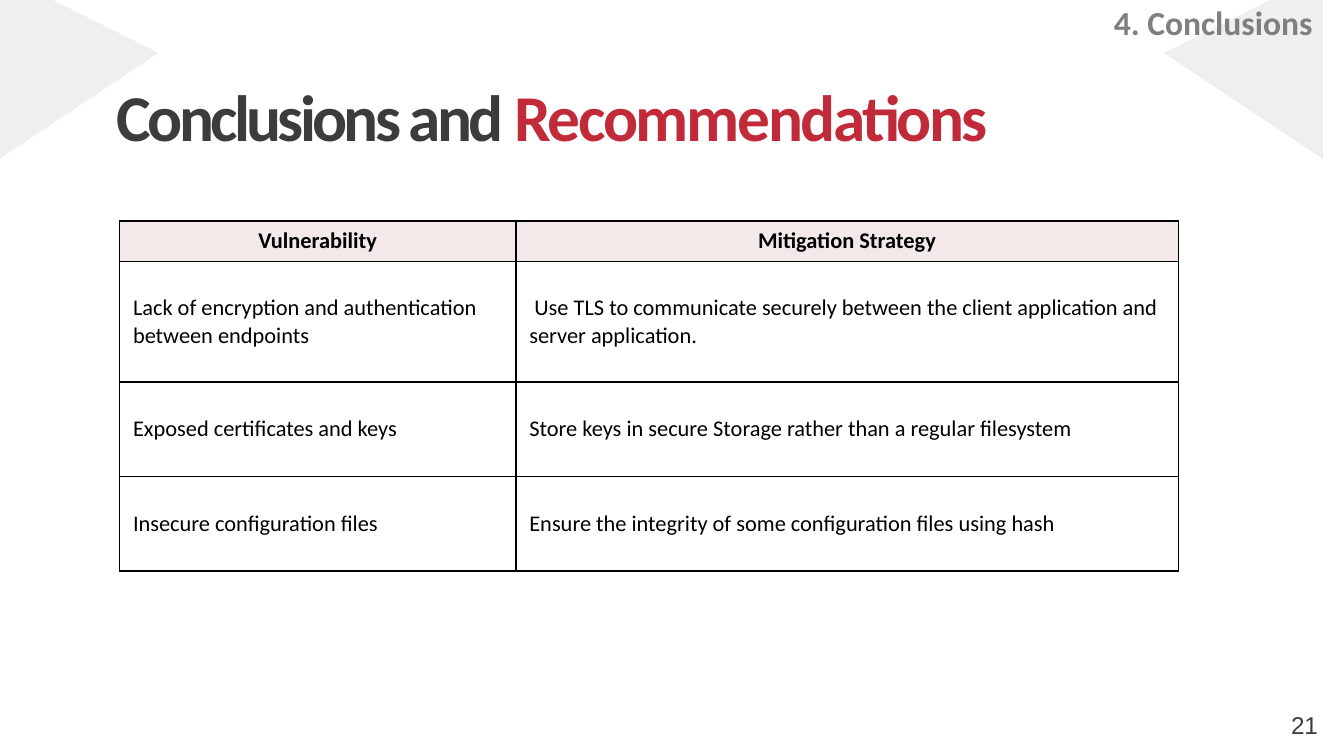
from lxml import etree
from pptx import Presentation
from pptx.dml.color import RGBColor
from pptx.enum.text import MSO_ANCHOR as Anchor, MSO_AUTO_SIZE as AutoSize, PP_ALIGN as Align
from pptx.oxml.ns import qn
from pptx.util import Cm, Pt

COLORS = {"dark": "3C3C3B", "red": "C12B39", "gray": "7F7F7F", "wedge": "878787",
          "black": "000000", "header": "F4E9E9", "white": "FFFFFF"}
PAGE_WIDTH, PAGE_HEIGHT = 25.4, 14.28
WEDGE = [(0, 0), (0.97, 0), (3.35, 1.42), (0, 3.34)]
TITLE = [("Conclusions and ", "dark", -200), ("Recommendations", "red", -130)]
SECTION = "4. Conclusions"
PAGE_NUMBER = "21"
COLUMN_WIDTHS = [7.49, 12.52]
ROW_HEIGHTS = [0.77, 2.28, 1.78, 1.78]
ROWS = [
    ("Vulnerability", "Mitigation Strategy"),
    ("Lack of encryption and authentication between endpoints",
     " Use TLS to communicate securely between the client application and server application."),
    ("Exposed certificates and keys",
     "Store keys in secure Storage rather than a regular filesystem"),
    ("Insecure configuration files",
     "Ensure the integrity of some configuration files using hash"),
]


def rgb(name):
    return RGBColor.from_string(COLORS[name])


def add_span(para, text, size, color, bold=False, font="Calibri"):
    span = para.add_run()
    span.text = text
    span.font.name, span.font.size, span.font.bold = font, Pt(size), bold
    span.font.color.rgb = rgb(color)
    return span


def prepare_frame(box, left, top, width, height, align=Align.LEFT):
    box.left, box.top, box.width, box.height = map(Cm, (left, top, width, height))
    frame = box.text_frame
    frame.margin_left = frame.margin_right = frame.margin_bottom = 0
    frame.margin_top = Cm(0.03)
    frame.word_wrap, frame.auto_size = True, AutoSize.NONE
    frame.vertical_anchor = Anchor.TOP
    para = frame.paragraphs[0]
    para.alignment = align
    return para


def add_wedge(page, points):
    builder = page.shapes.build_freeform(*points[0], scale=Cm(1))
    builder.add_line_segments(points[1:], close=True)
    wedge = builder.convert_to_shape()
    wedge.shadow.inherit = False
    wedge.fill.solid()
    wedge.fill.fore_color.rgb = rgb("wedge")
    wedge.line.fill.background()
    color = wedge.element.spPr.find(".//" + qn("a:srgbClr"))
    etree.SubElement(color, qn("a:alpha"), val="13000")
    page.shapes.title.element.addprevious(wedge.element)


def add_borders(cell):
    properties = cell._tc.get_or_add_tcPr()
    for place, side in enumerate(("lnL", "lnR", "lnT", "lnB")):
        line = etree.Element(qn("a:" + side), w=str(Pt(1)))
        fill = etree.SubElement(line, qn("a:solidFill"))
        etree.SubElement(fill, qn("a:srgbClr"), val=COLORS["black"])
        properties.insert(place, line)


def add_strategy_table(page):
    table = page.shapes.add_table(
        len(ROWS), len(COLUMN_WIDTHS), Cm(2.26), Cm(4.17),
        Cm(sum(COLUMN_WIDTHS)), Cm(sum(ROW_HEIGHTS))).table
    for column, width in zip(table.columns, COLUMN_WIDTHS):
        column.width = Cm(width)
    for index, (row, height, texts) in enumerate(zip(table.rows, ROW_HEIGHTS, ROWS)):
        row.height = Cm(height)
        header = index == 0
        for cell, text in zip(row.cells, texts):
            cell.fill.solid()
            cell.fill.fore_color.rgb = rgb("header" if header else "white")
            cell.vertical_anchor = Anchor.MIDDLE
            para = cell.text_frame.paragraphs[0]
            para.alignment = Align.CENTER if header else Align.LEFT
            add_span(para, text, 12, "black", bold=header)
            add_borders(cell)


def main():
    """Build the conclusions slide and save it."""
    deck = Presentation()
    deck.slide_width, deck.slide_height = Cm(PAGE_WIDTH), Cm(PAGE_HEIGHT)
    page = deck.slides.add_slide(deck.slide_layouts[5])

    add_wedge(page, [(PAGE_WIDTH - x, y) for x, y in WEDGE])
    add_wedge(page, WEDGE)

    para = prepare_frame(page.shapes.title, 2.21, 1.4, 17.37, 1.52)
    for text, color, spacing in TITLE:
        span = add_span(para, text, 35, color, bold=True)
        span.font._element.set("spc", str(spacing))

    number = page.shapes.add_textbox(0, 0, 0, 0)
    para = prepare_frame(number, 24.4, 13.39, 0.79, 0.69)
    add_span(para, PAGE_NUMBER, 13, "dark", font="Arial")

    section = page.shapes.add_textbox(0, 0, 0, 0)
    para = prepare_frame(section, 18.59, 0, 6.22, 0.81, Align.RIGHT)
    add_span(para, SECTION, 18, "gray", bold=True)

    add_strategy_table(page)
    deck.save("out.pptx")


if __name__ == "__main__":
    main()
